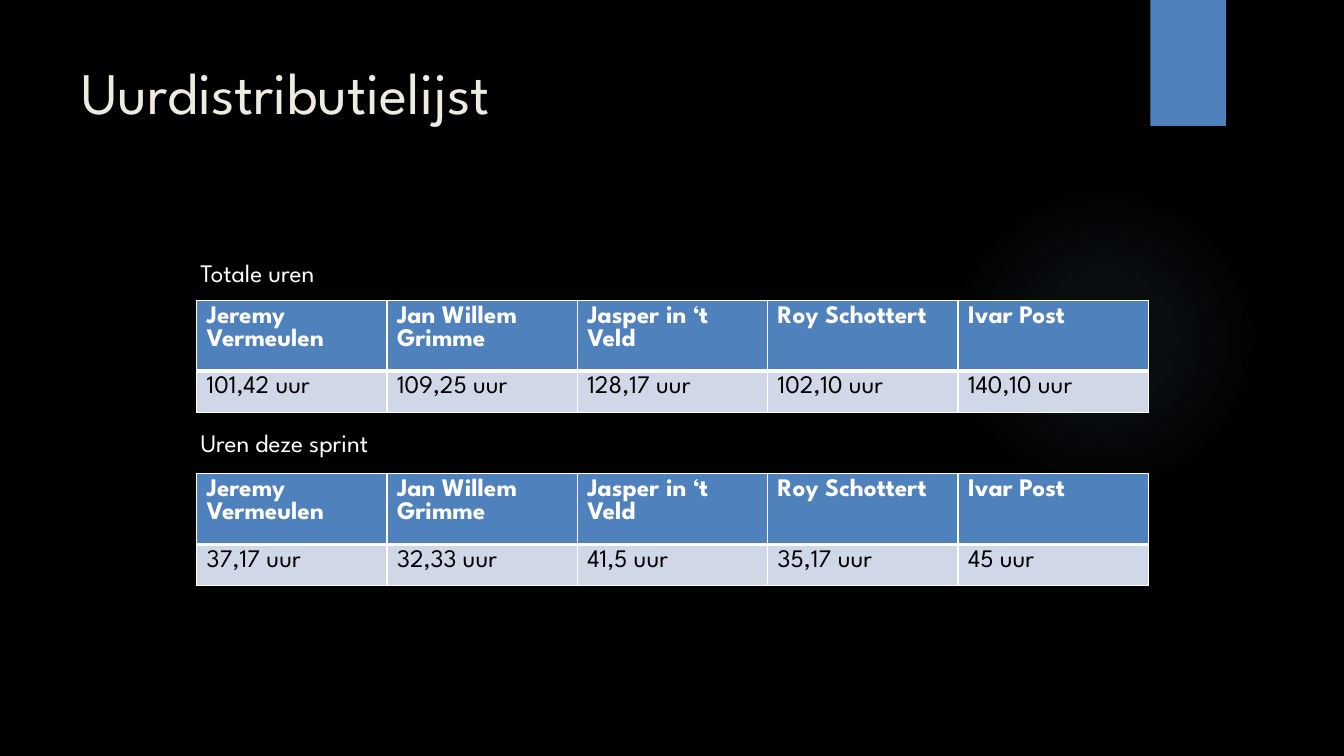
from dataclasses import dataclass

from lxml import etree
from pptx import Presentation
from pptx.dml.color import RGBColor
from pptx.enum import shapes, text
from pptx.oxml import ns, parse_xml
from pptx.util import Inches, Pt


@dataclass(frozen=True)
class Theme:
    font: str = "League Spartan"
    back: str = "000000"
    title: str = "EEECE1"
    light: str = "FFFFFF"
    dark: str = "000000"
    accent: str = "4F81BD"
    band: str = "D0D8E8"
    glow: str = "8EB4E3"
    big: int = 42
    body: int = 18


THEME = Theme()
NAMES = ["Jeremy Vermeulen", "Jan Willem Grimme", "Jasper in ‘t Veld",
         "Roy Schottert", "Ivar Post"]
TOTAL = ["101,42", "109,25", "128,17", "102,10", "140,10"]
SPRINT = ["37,17", "32,33", "41,5", "35,17", "45"]


def paint(item, color):
    item.fill.solid()
    item.fill.fore_color.rgb = RGBColor.from_string(color)


def write(frame, words, size=THEME.body, color=THEME.light, bold=False):
    run = frame.paragraphs[0].add_run()
    run.text = words
    run.font.name = THEME.font
    run.font.size = Pt(size)
    run.font.bold = bold
    run.font.color.rgb = RGBColor.from_string(color)


def add_text(slide, words, box, wrap=False, **style):
    frame = slide.shapes.add_textbox(*map(Inches, box)).text_frame
    frame.word_wrap = wrap
    frame.vertical_anchor = text.MSO_ANCHOR.TOP
    write(frame, words, **style)


def add_block(slide, kind, box):
    block = slide.shapes.add_shape(kind, *map(Inches, box))
    block.shadow.inherit = False
    block.line.fill.background()
    paint(block, THEME.accent)
    return block


def add_glow(slide, box):
    """Add a circle that fades out from its centre."""
    glow = add_block(slide, shapes.MSO_SHAPE.OVAL, box)
    stops = "".join(
        f'<a:gs pos="{pos * 1000}"><a:srgbClr val="{THEME.glow}">'
        f'<a:alpha val="{alpha * 1000}"/></a:srgbClr></a:gs>'
        for pos, alpha in [(0, 7), (36, 6), (69, 0), (100, 0)])
    fade = parse_xml(
        f'<a:gradFill {ns.nsdecls("a")}><a:gsLst>{stops}</a:gsLst>'
        '<a:path path="circle"><a:fillToRect l="50000" t="50000" '
        'r="50000" b="50000"/></a:path></a:gradFill>')
    props = glow.element.spPr
    props.replace(props.find(ns.qn("a:solidFill")), fade)


def add_edges(cell, **widths):
    """Draw the cell's borders; widths in points by side."""
    props = cell._tc.get_or_add_tcPr()
    for spot, (side, width) in enumerate(widths.items()):
        line = etree.Element(ns.qn(f"a:ln{side}"), w=str(Pt(width)))
        fill = etree.SubElement(line, ns.qn("a:solidFill"))
        etree.SubElement(fill, ns.qn("a:srgbClr"), val=THEME.light)
        props.insert(spot, line)


def add_hours(slide, hours, top, head):
    """Add a table of hours by person; head is the header's height."""
    row = 0.41
    table = slide.shapes.add_table(
        2, len(NAMES), Inches(1.95), Inches(top),
        Inches(9.44), Inches(head + row)).table
    table.rows[0].height = Inches(head)
    table.rows[1].height = Inches(row)
    for col, (name, hour) in enumerate(zip(NAMES, hours)):
        upper, lower = table.cell(0, col), table.cell(1, col)
        write(upper.text_frame, name, bold=True)
        write(lower.text_frame, f"{hour} uur", color=THEME.dark)
        paint(upper, THEME.accent)
        paint(lower, THEME.band)
        add_edges(upper, L=1, R=1, T=1, B=3)
        add_edges(lower, L=1, R=1, T=3, B=1)


def main():
    deck = Presentation()
    deck.slide_width, deck.slide_height = Inches(13.33), Inches(7.5)
    slide = deck.slides.add_slide(deck.slide_layouts[6])
    paint(slide.background, THEME.back)
    add_glow(slide, (9.41, 1.83, 3.08, 3.08))
    add_block(slide, shapes.MSO_SHAPE.RECTANGLE, (11.41, 0, 0.75, 1.25))
    add_text(slide, "Uurdistributielijst", (0.71, 0.5, 10.29, 1.53),
             wrap=True, size=THEME.big, color=THEME.title)
    add_text(slide, "Totale uren", (1.89, 2.5, 1.57, 0.4))
    add_hours(slide, TOTAL, top=2.98, head=0.56)
    add_text(slide, "Uren deze sprint", (1.89, 4.19, 2.15, 0.4))
    add_hours(slide, SPRINT, top=4.7, head=0.7)
    deck.save("out.pptx")


if __name__ == "__main__":
    main()
